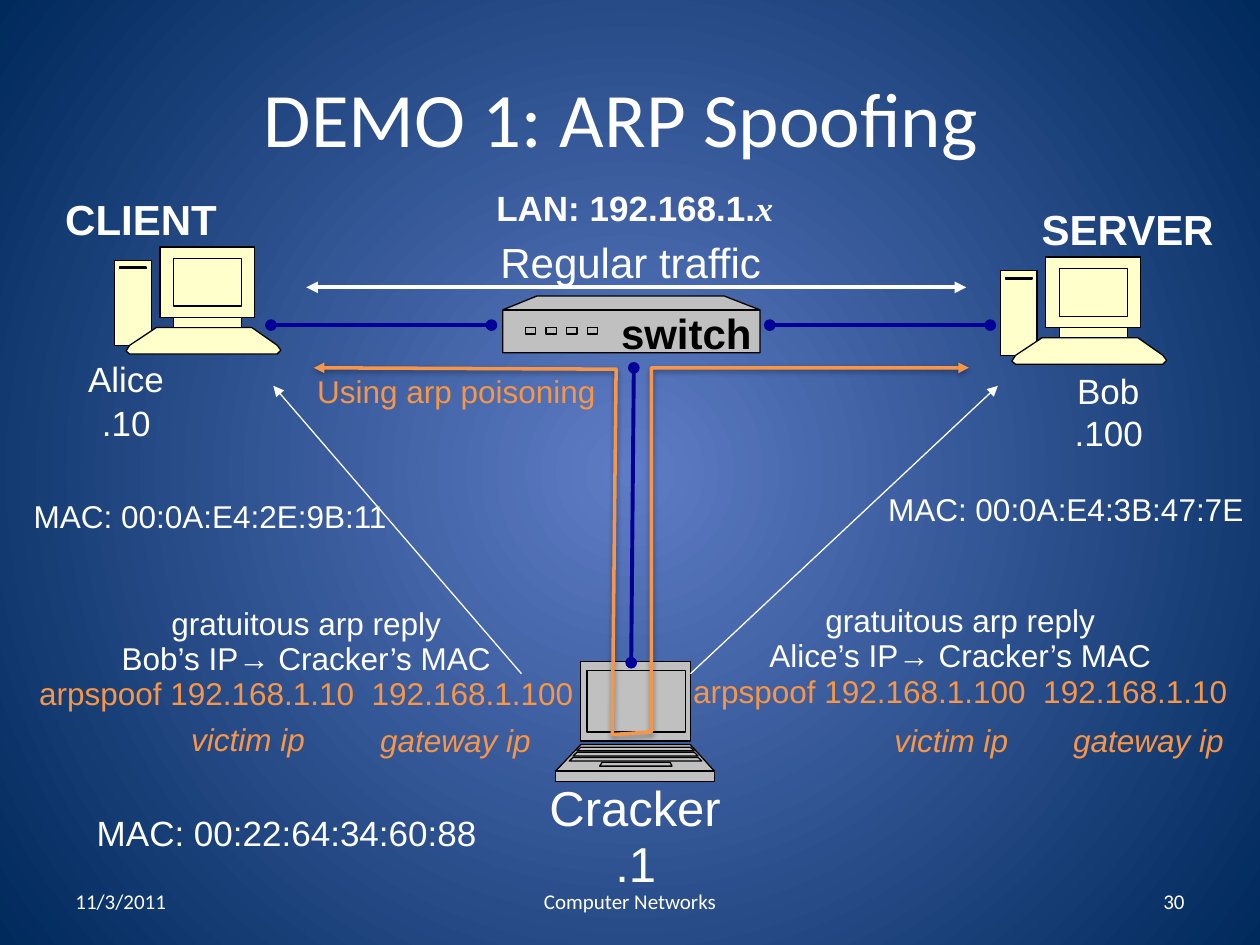
from copy import deepcopy

from lxml import etree
from pptx import Presentation
from pptx import util as u
from pptx.dml.color import RGBColor
from pptx.enum import shapes, text
from pptx.oxml import parse_xml
from pptx.oxml.ns import nsdecls, qn

COLORS = {
    "white": "FFFFFF", "black": "000000", "orange": "F79646", "navy": "000099",
    "cream": "FFFFCC", "grey": "C0C0C0", "center": "5E7CC5", "edge": "00295C",
}
LEFT, CENTER, RIGHT = text.PP_ALIGN.LEFT, text.PP_ALIGN.CENTER, text.PP_ALIGN.RIGHT


def rgb(name):
    return RGBColor.from_string(COLORS[name])


def box(left, top, right, bottom):
    return [(left, top), (right, top), (right, bottom), (left, bottom)]


class Canvas:
    """Holds the text style and the slide being drawn; lengths are points."""

    font, color, spacing = "Arial", "white", 0.93

    def __init__(self, slide):
        self.slide = slide

    def background(self, inner, outer):
        fill = self.slide.background.fill
        fill.gradient()
        for stop, name in zip(fill.gradient_stops, (inner, outer)):
            stop.color.rgb = rgb(name)
        gradient = self.slide.element.find(".//" + qn("a:gradFill"))
        stops = gradient.find(qn("a:gsLst"))
        for position, stop in zip(("0", "100000"), stops):
            stop.set("pos", position)
        for extra in gradient.findall(qn("a:lin")):
            gradient.remove(extra)
        stops.addnext(parse_xml(
            f'<a:path {nsdecls("a")} path="circle">'
            '<a:fillToRect l="50000" t="50000" r="50000" b="50000"/></a:path>'))

    def label(self, content, left, top, width, height, size=18, color=None,
              bold=None, italic=None, align=LEFT, wrap=False):
        shape = self.slide.shapes.add_textbox(*map(u.Pt, (left, top, width, height)))
        frame = shape.text_frame
        frame.text = content
        frame.word_wrap = wrap
        for paragraph in frame.paragraphs:
            paragraph.alignment = align
            paragraph.line_spacing = self.spacing
            for run in paragraph.runs:
                self.format(run, size, color, bold, italic)
        return shape

    def format(self, run, size, color=None, bold=None, italic=None, font=None):
        run.font.name = font or self.font
        run.font.size = u.Pt(size)
        run.font.bold = bold
        run.font.italic = italic
        run.font.color.rgb = rgb(color or self.color)

    def theme_label(self, content, left, top, width, height, size, align):
        """Title and footer text: Calibri, single spaced, centred vertically."""
        shape = self.label(content, left, top, width, height, size, align=align, wrap=True)
        shape.text_frame.vertical_anchor = text.MSO_ANCHOR.MIDDLE
        paragraph = shape.text_frame.paragraphs[0]
        paragraph.line_spacing = 1.0
        paragraph.runs[0].font.name = "Calibri"

    def stroke(self, shape, color, width, head=None, tail=None):
        shape.line.color.rgb = rgb(color)
        shape.line.width = u.Pt(width)
        outline = shape.element.spPr.find(qn("a:ln"))
        for tag, kind in (("a:headEnd", head), ("a:tailEnd", tail)):
            if kind:
                etree.SubElement(outline, qn(tag)).set("type", kind)

    def line(self, start, end, color, width, head=None, tail=None):
        connector = self.slide.shapes.add_connector(
            shapes.MSO_CONNECTOR.STRAIGHT, *map(u.Pt, (*start, *end)))
        self.stroke(connector, color, width, head, tail)
        etree.SubElement(connector.element.spPr, qn("a:effectLst"))

    def outline(self, contours, left=0, top=0, fill=None, color="black", width=0.75,
                head=None, tail=None):
        """One freeform whose contours are filled one over the other."""
        scaled = [[(u.Pt(x), u.Pt(y)) for x, y in contour] for contour in contours]
        builder = self.slide.shapes.build_freeform(*scaled[0][0])
        for index, contour in enumerate(scaled):
            if index:
                builder.move_to(*contour[0])
            builder.add_line_segments(contour[1:], close=fill is not None)
        shape = builder.convert_to_shape(u.Pt(left), u.Pt(top))
        shape.shadow.inherit = False
        if fill:
            shape.fill.solid()
            shape.fill.fore_color.rgb = rgb(fill)
        else:
            shape.fill.background()
        self.stroke(shape, color, width, head, tail)
        self.split_contours(shape)
        return shape

    def split_contours(self, shape):
        """Give each contour its own path, so inner ones do not become holes."""
        source = shape.element.find(".//" + qn("a:path"))
        path_list = source.getparent()
        blank = deepcopy(source)
        for step in list(blank):
            blank.remove(step)
        for step in list(source):
            if step.tag == qn("a:moveTo"):
                current = deepcopy(blank)
                path_list.append(current)
            current.append(step)
        path_list.remove(source)

    def soft_shadow(self, shape):
        shape.element.spPr.find(qn("a:effectLst")).append(parse_xml(
            f'<a:outerShdw {nsdecls("a")} blurRad="40000" dist="20000" dir="5400000" '
            'rotWithShape="0"><a:srgbClr val="000000"><a:alpha val="38000"/>'
            '</a:srgbClr></a:outerShdw>'))


# Device outlines, relative to their top left corner
COMPUTER = [
    box(0, 7.9, 20.9, 56.2),  # tower
    [(23.8, 46.1), (78.5, 46.1), (92.9, 56.2), (95, 59), (92.9, 61.2),
     (8.6, 61.2), (6.5, 59.5), (8.6, 56.2)],  # base
    box(25.9, 0, 79.9, 40.3),  # monitor
    box(33.8, 40.3, 72.7, 46.1),  # neck
    box(33.8, 6.5, 72.7, 33.8),  # screen
    box(2.9, 11.5, 18, 12.5),  # drive slot
]
KEY_ROWS = [
    [(14.4 - shift, y), (77 + shift, y), (79.2 + shift, y + 2.1), (12.2 - shift, y + 2.1)]
    for shift, y in ((2.2 * row, 49 + 2.9 * row) for row in range(3))
]
LAPTOP = [
    box(14.4, 0, 77, 45.4),  # lid
    [(14.4, 47.5), (77, 47.5), (90.7, 62.6), (0, 62.6)],  # deck
    box(0, 62.6, 90.7, 68.4),  # front edge
    box(18, 5, 74.2, 40.3),  # screen
    *KEY_ROWS,
    [(26.6, 57.6), (65.5, 57.6), (66.5, 59.8), (25.2, 59.8)],  # touch pad
]
SWITCH = [
    [(0, 7.9), (19.4, 0), (126.7, 0), (147, 7.9), (147, 32.4), (0, 32.4)],
    [(0, 7.9), (147, 7.9)],
    *[box(13 + 11.8 * port, 18, 18.8 + 11.8 * port, 21.6) for port in range(4)],
]


def main():
    presentation = Presentation()
    presentation.slide_width, presentation.slide_height = u.Pt(720), u.Pt(540)
    slide = presentation.slides.add_slide(presentation.slide_layouts[6])
    canvas = Canvas(slide)
    canvas.background("center", "edge")

    # Title and footer
    canvas.theme_label("DEMO 1: ARP Spoofing ", 36, 21.6, 648, 90, 44, CENTER)
    canvas.theme_label("11/3/2011", 36, 500.5, 168, 28.8, 12, LEFT)
    canvas.theme_label("Computer Networks", 246, 500.5, 228, 28.8, 12, CENTER)
    canvas.theme_label("30", 516, 500.5, 168, 28.8, 12, RIGHT)

    # Devices, with the forged replies sent by the laptop
    canvas.outline(COMPUTER, 65.5, 141.1, "cream")
    canvas.outline(COMPUTER, 571.7, 146.9, "cream")
    canvas.outline(LAPTOP, 317.5, 378, "grey")
    canvas.line((298, 385), (156.2, 220.5), "white", 0.75, tail="triangle")
    canvas.line((394.6, 385), (570.2, 220.5), "white", 0.75, tail="triangle")
    canvas.outline(SWITCH, 287.3, 169.2, "grey")

    # Regular traffic
    canvas.line((175, 164.2), (552.2, 164.2), "white", 2.25, "triangle", "triangle")
    canvas.label("Regular traffic", 258.5, 133.9, 203.8, 34.6, 24, align=CENTER, wrap=True)
    lan = canvas.label("LAN: 192.168.1.", 276.5, 105.1, 173.5, 29.5, 20, bold=True)
    host = lan.text_frame.paragraphs[0].add_run()
    host.text = "x"
    canvas.format(host, 20, bold=True, italic=True, font="Times New Roman")

    # Device names and addresses
    for content, left, top, width, height, size, bold in (
        ("CLIENT", 30.2, 109.4, 102.2, 34.6, 24, True),
        ("SERVER", 588.2, 115.2, 113.8, 34.6, 24, True),
        ("Alice", 43.2, 203, 58.3, 29.5, 20, None),
        (".10", 51.1, 228.2, 42.5, 29.5, 20, None),
        ("Bob", 608.4, 209.5, 50.4, 29.5, 20, None),
        (".100", 607, 234, 54, 29.5, 20, None),
        ("Cracker", 306, 443.5, 113.8, 38.9, 28, None),
        (".1", 344.2, 475.9, 38.2, 38.9, 28, None),
        ("MAC: 00:0A:E4:2E:9B:11", 12.2, 282.2, 218.2, 27.4, 18, None),
        ("MAC: 00:0A:E4:3B:47:7E", 500.4, 278.6, 219.6, 27.4, 18, None),
        ("MAC: 00:22:64:34:60:88", 48.2, 462.2, 233.3, 29.5, 20, None),
    ):
        canvas.label(content, left, top, width, height, size, bold=bold,
                     align=CENTER if size == 28 else LEFT)
    canvas.label("switch", 347.8, 175, 95.8, 28.8, 24, "black", bold=True, wrap=True)

    # Poisoned route through the laptop
    route = canvas.outline(
        [[(179.3, 210.2), (352.1, 211), (349.9, 419.8), (372.2, 418.3),
          (372.2, 210.2), (553.7, 210.2)]],
        color="orange", width=2, head="triangle", tail="triangle")
    canvas.soft_shadow(route)
    canvas.label("Using arp poisoning", 174.2, 211, 175, 27.4, color="orange")

    # Cables
    for start, end in (((154.8, 185.8), (280.8, 185.8)),
                       ((439.9, 185.8), (565.9, 185.8)),
                       ((362.2, 210.2), (360.7, 378.7))):
        canvas.line(start, end, "navy", 2.25, "oval", "oval")

    # Forged replies and the commands that send them
    for owner, hosts, left, top, width, wrap in (
        ("Bob", "192.168.1.10  192.168.1.100", 13.7, 343.4, 322.6, False),
        ("Alice", "192.168.1.100  192.168.1.10", 383.8, 342, 329.8, True),
    ):
        reply = canvas.label(
            f"gratuitous arp reply\n{owner}’s IP→ Cracker’s MAC\narpspoof {hosts}",
            left, top, width, 68.4, align=CENTER, wrap=wrap)
        reply.text_frame.paragraphs[-1].runs[0].font.color.rgb = rgb("orange")
    for content, left, top in (("victim ip", 102.2, 409.7), ("gateway ip", 210.2, 410.4),
                               ("victim ip", 504, 410.4), ("gateway ip", 606.2, 410.4)):
        canvas.label(content, left, top, 108, 27.4, color="orange", italic=True, wrap=True)

    presentation.save("out.pptx")


if __name__ == "__main__":
    main()
